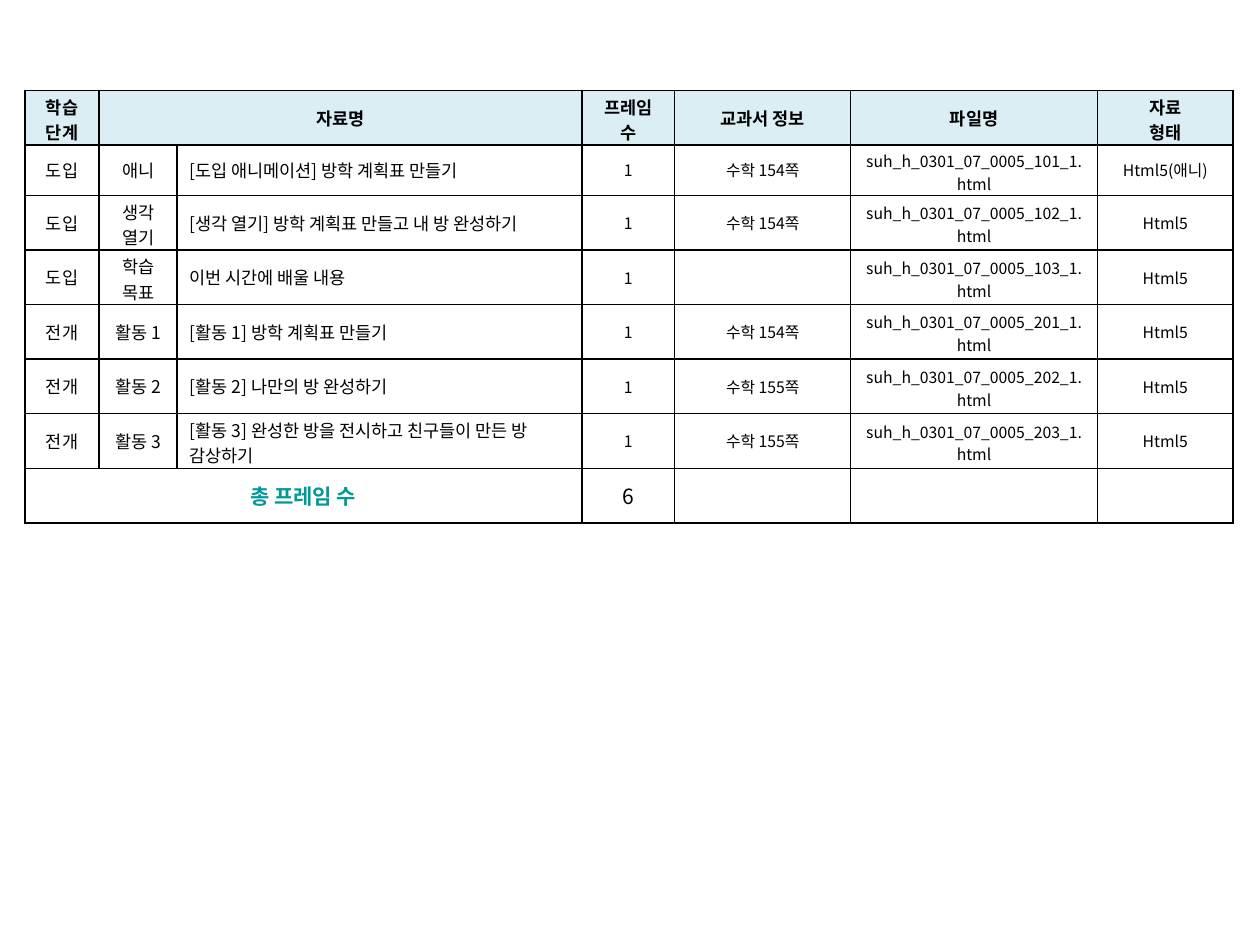
from dataclasses import dataclass

from lxml.etree import SubElement
from pptx import Presentation
from pptx.dml.color import RGBColor
from pptx.enum.text import MSO_ANCHOR as Anchor, PP_ALIGN as Align
from pptx.oxml.ns import qn
from pptx.slide import Slide
from pptx.util import Cm, Pt

COLUMN_WIDTHS = [1.5, 1.57, 8.16, 1.87, 3.55, 4.97, 2.74]
LINE_LENGTHS = [4, 4, 30, 4, 9, 20, 9]
ROW_HEIGHTS = [1.1, 1.02] + [1.1] * 6
HEADINGS = ["학습 단계", "자료명", "", "프레임 수", "교과서 정보", "파일명", "자료\n형태"]
LESSONS = [
    ("도입", "애니", "[도입 애니메이션] 방학 계획표 만들기", "수학 154쪽", 101, "Html5(애니)"),
    ("도입", "생각 열기", "[생각 열기] 방학 계획표 만들고 내 방 완성하기", "수학 154쪽", 102, "Html5"),
    ("도입", "학습 목표", "이번 시간에 배울 내용", "", 103, "Html5"),
    ("전개", "활동 1", "[활동 1] 방학 계획표 만들기", "수학 154쪽", 201, "Html5"),
    ("전개", "활동 2", "[활동 2] 나만의 방 완성하기", "수학 155쪽", 202, "Html5"),
    ("전개", "활동 3", "[활동 3] 완성한 방을 전시하고 친구들이 만든 방 감상하기", "수학 155쪽", 203, "Html5"),
]


def color(value):
    return RGBColor.from_string(value)


def takes_two_lines(text, column):
    return "\n" in text or len(text) > LINE_LENGTHS[column]


@dataclass
class SlideBuilder:
    """Holds the table style and the slide being built."""

    slide: Slide
    font: str = "Noto Sans CJK KR"
    ink: str = "000000"
    accent: str = "009999"
    header_fill: str = "DBEEF4"

    def table(self, left, top, widths, heights):
        frame = self.slide.shapes.add_table(
            len(heights), len(widths), Cm(left), Cm(top), Cm(sum(widths)), Cm(sum(heights)))
        table = frame.table
        table.first_row = table.horz_banding = False
        for column, width in zip(table.columns, widths):
            column.width = Cm(width)
        for row, height in zip(table.rows, heights):
            row.height = Cm(height)
        return table

    def borders(self, cell):
        properties = cell._tc.get_or_add_tcPr()
        for side in ("lnL", "lnR", "lnT", "lnB"):
            line = SubElement(properties, qn(f"a:{side}"), w=str(Pt(1)))
            fill = SubElement(line, qn("a:solidFill"))
            SubElement(fill, qn("a:srgbClr"), val=self.ink)

    def cell(self, cell, text, size, align=Align.CENTER, bold=False, ink=None, fill=None,
             tight=False):
        self.borders(cell)
        if fill:
            cell.fill.solid()
            cell.fill.fore_color.rgb = color(fill)
        else:
            cell.fill.background()
        cell.vertical_anchor = Anchor.MIDDLE
        if tight or not text:
            cell.margin_top, cell.margin_bottom = Cm(0.07 if tight else 0), 0
        cell.text = text
        for paragraph in cell.text_frame.paragraphs:
            paragraph.alignment = align
            font = paragraph.font
            font.name, font.size, font.bold = self.font, Pt(size), bold
            font.color.rgb = color(ink or self.ink)
            defaults = paragraph._p.pPr.find(qn("a:defRPr"))
            defaults.set("kern", "0")
            SubElement(defaults, qn("a:ea"), typeface=self.font)


def main():
    presentation = Presentation()
    presentation.slide_width, presentation.slide_height = Cm(25.4), Cm(19.05)
    builder = SlideBuilder(presentation.slides.add_slide(presentation.slide_layouts[6]))
    table = builder.table(0.5, 1.82, COLUMN_WIDTHS, ROW_HEIGHTS)

    for column, heading in enumerate(HEADINGS):
        builder.cell(table.cell(0, column), heading, 10, bold=True, fill=builder.header_fill,
                     tight=takes_two_lines(heading, column))

    for row, (stage, part, title, pages, code, kind) in enumerate(LESSONS, start=1):
        file_name = f"suh_h_0301_07_0005_{code}_1.html"
        for column, text in enumerate((stage, part, title, "1", pages, file_name, kind)):
            builder.cell(table.cell(row, column), text, 10 if column < 3 else 9,
                         align=Align.LEFT if column == 2 else Align.CENTER,
                         tight=takes_two_lines(text, column))

    total_row = len(LESSONS) + 1
    for column, text in enumerate(["총 프레임 수", "", "", str(len(LESSONS)), "", "", ""]):
        is_label = column == 0
        builder.cell(table.cell(total_row, column), text, 12, bold=is_label,
                     ink=builder.accent if is_label else None)

    table.cell(0, 1).merge(table.cell(0, 2))
    table.cell(total_row, 0).merge(table.cell(total_row, 2))
    presentation.save("out.pptx")


if __name__ == "__main__":
    main()
